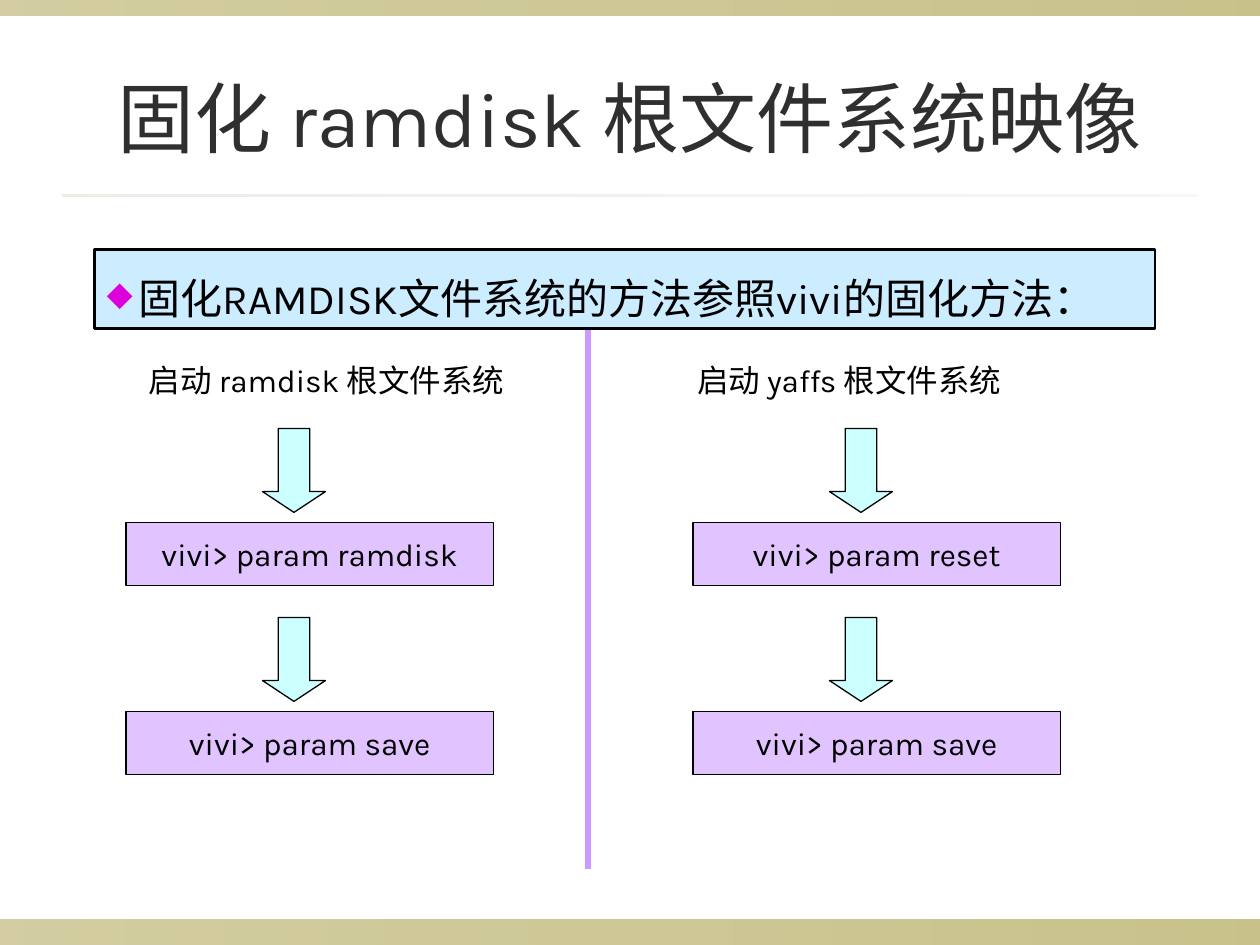
from lxml import etree
from pptx import Presentation
from pptx import util as u
from pptx.dml import color
from pptx.enum import shapes, text
from pptx.oxml import ns

deck = Presentation()
deck.slide_width, deck.slide_height = u.Inches(10), u.Inches(7.5)
slide = deck.slides.add_slide(deck.slide_layouts[6])
COL, ROW = deck.slide_width / 120, deck.slide_height / 90
KINDS = shapes.MSO_SHAPE


def paint(target, hex_color, opacity=100):
    target.rgb = color.RGBColor.from_string(hex_color)
    if opacity < 100:
        for rgb in target._xFill.iter(ns.qn("a:srgbClr")):
            etree.SubElement(rgb, ns.qn("a:alpha")).set("val", str(opacity * 1000))


def place(kind, col, row, cols, rows, fill=None, opacity=100, line=0, words="",
          size=18, ink="000000", align=text.PP_ALIGN.CENTER, wrap=True):
    area = [int(v) for v in (col * COL, row * ROW, cols * COL, rows * ROW)]
    if kind is None:
        part = slide.shapes.add_textbox(*area)
    else:
        part = slide.shapes.add_shape(kind, *area)
        part.shadow.inherit = False
        if fill:
            part.fill.solid()
            part.fill.fore_color.rgb = color.RGBColor.from_string(fill)
            if opacity < 100:
                rgb = next(part._element.spPr.iter(ns.qn("a:srgbClr")))
                etree.SubElement(rgb, ns.qn("a:alpha")).set("val", str(opacity * 1000))
        if line:
            part.line.width = u.Pt(line)
            part.line.color.rgb = color.RGBColor.from_string("000000")
        else:
            part.line.fill.background()
    if words:
        frame = part.text_frame
        frame.word_wrap = wrap
        frame.text = words
        paragraph = frame.paragraphs[0]
        paragraph.alignment = align
        font = paragraph.runs[0].font
        font.name, font.size = "Karla", u.Pt(size)
        font.color.rgb = color.RGBColor.from_string(ink)
    return part


for col, row, cols, rows, tint, opacities in [
    (0, 87.6, 120, 2.4, "918415", (40, 50)),
    (0, 0, 120, 1.44, "918415", (40, 50)),
    (6, 18.48, 108, 0.24, "DCD9CC", (50, 20)),
]:
    band = place(KINDS.RECTANGLE, col, row, cols, rows)
    band.fill.gradient()
    band.fill.gradient_angle = 0
    for stop, position, opacity in zip(band.fill.gradient_stops, (0, 1), opacities):
        stop.position = position
        stop.color.rgb = color.RGBColor.from_string(tint)
    for rgb, opacity in zip(band._element.spPr.iter(ns.qn("a:srgbClr")), opacities):
        etree.SubElement(rgb, ns.qn("a:alpha")).set("val", str(opacity * 1000))

title = place(None, 6, 3.6, 108, 15, words="固化 ramdisk 根文件系统映像", size=44, ink="2F2F2F")
title.text_frame.vertical_anchor = text.MSO_ANCHOR.MIDDLE

divider = slide.shapes.add_connector(
    shapes.MSO_CONNECTOR.STRAIGHT,
    int(56 * COL), int(30.8 * ROW), int(56 * COL), int(82.8 * ROW))
divider.line.width = u.Pt(3)
divider.line.color.rgb = color.RGBColor.from_string("CC99FF")
etree.SubElement(divider._element.spPr, ns.qn("a:effectLst"))

banner = place(KINDS.RECTANGLE, 9, 23.76, 101, 7.56, "CCECFF", line=1.5, size=24,
               words="固化RAMDISK文件系统的方法参照vivi的固化方法：", align=text.PP_ALIGN.LEFT)
banner.text_frame.vertical_anchor = text.MSO_ANCHOR.TOP
banner.text_frame.margin_top = u.Inches(0.18)
bullet = banner.text_frame.paragraphs[0]._p.get_or_add_pPr()
bullet.set("marL", str(u.Inches(0.25)))
bullet.set("indent", str(-u.Inches(0.25)))
tint = etree.SubElement(bullet, ns.qn("a:buClr"))
etree.SubElement(tint, ns.qn("a:srgbClr")).set("val", "DD00DD")
etree.SubElement(bullet, ns.qn("a:buSzPct")).set("val", "80000")
etree.SubElement(bullet, ns.qn("a:buChar")).set("char", "◆")

for left, caption_left, caption_cols, caption, commands in [
    (12, 13, 37.6, "启动 ramdisk 根文件系统", ("vivi> param ramdisk", "vivi> param save")),
    (66, 65.2, 33, "启动 yaffs 根文件系统", ("vivi> param reset", "vivi> param save")),
]:
    place(None, caption_left, 33.84, caption_cols, 4.8, words=caption, align=text.PP_ALIGN.LEFT)
    for step, command in enumerate(commands):
        top = 40.8 + 18 * step
        arrow = place(KINDS.DOWN_ARROW, left + 13, top, 6, 8, "CCFFFF", line=0.75)
        arrow.adjustments[1] = 0.33
        place(KINDS.RECTANGLE, left, top + 9, 35, 6, "CC99FF", 59, 0.75, command, wrap=False)

deck.save("out.pptx")
